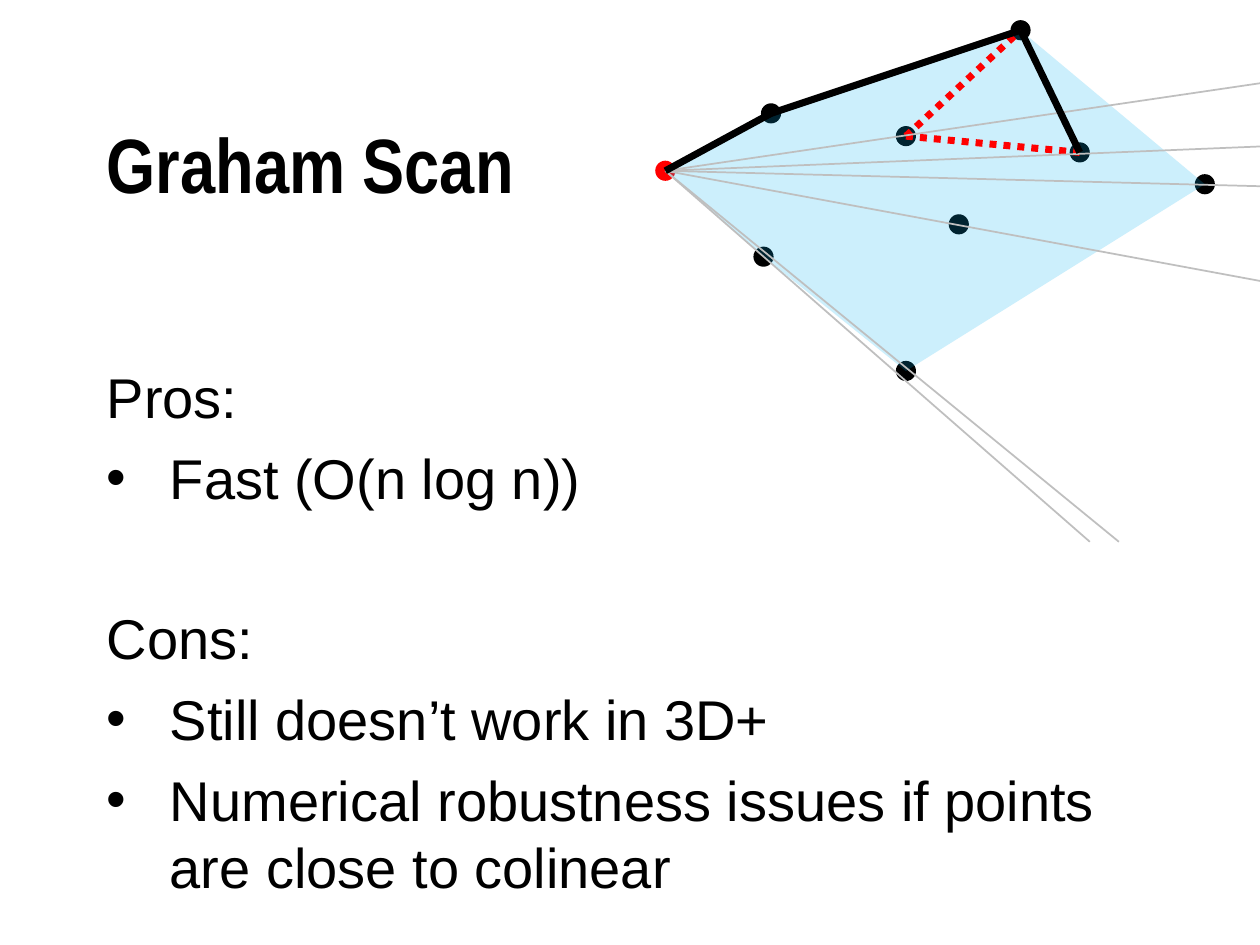
import pptx
import pptx.dml.color
import pptx.enum.dml
import pptx.enum.shapes
import pptx.enum.text
import pptx.oxml
import pptx.oxml.ns
import pptx.util
from dataclasses import dataclass
from lxml import etree

Pt = pptx.util.Pt
qn = pptx.oxml.ns.qn


@dataclass(frozen=True)
class Theme:
    ink: str = "000000"
    accent: str = "FF0000"
    hull: str = "00B0F0"
    ray: str = "BFBFBF"
    title_font: str = "Arial Narrow"
    body_font: str = "Arial"
    title_size: float = 44
    body_size: float = 32
    hull_alpha: int = 20
    ray_width: float = 1
    edge_width: float = 4
    dot: float = 11.5


THEME = Theme()

# Points of the scan, in points from the slide's top left corner
START = (380.2, 97.6)
UPPER_LEFT, TOP = (440.6, 64.8), (583.2, 17.3)
RIGHT, BOTTOM, LOWER_LEFT = (688.5, 105.3), (517.7, 212), (436.3, 146.7)
INNER_LEFT, INNER_LOW, INNER_RIGHT = (517.7, 77.8), (547.9, 128.2), (617, 87.1)
HULL = [START, LOWER_LEFT, BOTTOM, RIGHT, TOP, UPPER_LEFT]
RAY_ENDS = [(622.8, 309.6), (639.4, 309.6), (805.7, 176.4),
            (865.4, 110.2), (864.7, 77.8), (823, 32.4)]

# Text, space before, bulleted
BODY = [
    ("Pros:", 0, False),
    ("Fast (O(n log n))", 8, True),
    ("Cons:", 53, False),
    ("Still doesn’t work in 3D+", 8, True),
    ("Numerical robustness issues if points are close to colinear", 8, True),
]


def set_all(target, values):
    for name, value in values.items():
        setattr(target, name, value)


def rgb(color):
    return pptx.dml.color.RGBColor.from_string(color)


def add_text_box(slide, box, **frame_format):
    frame = slide.shapes.add_textbox(*map(Pt, box)).text_frame
    set_all(frame, {"word_wrap": True, **frame_format})
    return frame


def write(paragraph, text, **font_format):
    run = paragraph.add_run()
    run.text = text
    set_all(run.font, font_format)
    run.font.color.rgb = rgb(THEME.ink)


def add_bullet(paragraph, indent):
    properties = paragraph._p.get_or_add_pPr()
    properties.set("marL", str(Pt(indent)))
    properties.set("indent", str(-Pt(indent)))
    etree.SubElement(properties, qn("a:buFont"), typeface=THEME.body_font)
    etree.SubElement(properties, qn("a:buChar"), char="•")


def paint(shape, color):
    shape.shadow.inherit = False
    shape.fill.solid()
    shape.fill.fore_color.rgb = rgb(color)
    shape.line.fill.background()


def add_dot(slide, center, color):
    x, y = center
    radius = THEME.dot / 2
    shape = slide.shapes.add_shape(
        pptx.enum.shapes.MSO_SHAPE.OVAL, Pt(x - radius), Pt(y - radius),
        Pt(THEME.dot), Pt(THEME.dot))
    paint(shape, color)


def add_polygon(slide, points, color, alpha):
    corners = [(Pt(x), Pt(y)) for x, y in points]
    builder = slide.shapes.build_freeform(*corners[0])
    builder.add_line_segments(corners[1:], close=True)
    shape = builder.convert_to_shape()
    paint(shape, color)
    color_element = shape._element.spPr.find(qn("a:solidFill"))[0]
    etree.SubElement(color_element, qn("a:alpha"), val=str(alpha * 1000))


def add_line(slide, start, end, color, width, dash=None):
    connector = slide.shapes.add_connector(
        pptx.enum.shapes.MSO_CONNECTOR.STRAIGHT, *map(Pt, start + end))
    connector.line.color.rgb = rgb(color)
    set_all(connector.line, {"width": Pt(width), "dash_style": dash})
    etree.SubElement(connector._element.spPr, qn("a:effectLst"))


def add_title(slide):
    frame = add_text_box(slide, (54, 48, 612, 90),
                         vertical_anchor=pptx.enum.text.MSO_ANCHOR.MIDDLE)
    write(frame.paragraphs[0], "Graham Scan", name=THEME.title_font,
          size=Pt(THEME.title_size), bold=True)


def add_body(slide):
    frame = add_text_box(slide, (54, 156, 612, 324), margin_top=Pt(51))
    for index, (text, space, bulleted) in enumerate(BODY):
        paragraph = frame.add_paragraph() if index else frame.paragraphs[0]
        paragraph.space_before = Pt(space)
        if bulleted:
            add_bullet(paragraph, 36)
        write(paragraph, text, name=THEME.body_font, size=Pt(THEME.body_size))


def add_diagram(slide):
    # Points, with the hull tinting them
    for center in HULL[1:] + [INNER_LEFT, INNER_LOW, INNER_RIGHT]:
        add_dot(slide, center, THEME.ink)
    add_dot(slide, START, THEME.accent)
    add_polygon(slide, HULL, THEME.hull, THEME.hull_alpha)

    # Rejected edges
    for end in (TOP, INNER_RIGHT):
        add_line(slide, INNER_LEFT, end, THEME.accent, THEME.edge_width,
                 pptx.enum.dml.MSO_LINE.ROUND_DOT)

    # Sorting rays
    for end in RAY_ENDS:
        add_line(slide, START, end, THEME.ray, THEME.ray_width)

    # Accepted edges
    chain = [START, UPPER_LEFT, TOP, INNER_RIGHT]
    for start, end in zip(chain, chain[1:]):
        add_line(slide, start, end, THEME.ink, THEME.edge_width)


def main():
    presentation = pptx.Presentation()
    set_all(presentation, {"slide_width": Pt(720), "slide_height": Pt(540)})
    slide = presentation.slides.add_slide(presentation.slide_layouts[6])
    add_title(slide)
    add_body(slide)
    add_diagram(slide)
    presentation.save("out.pptx")


if __name__ == "__main__":
    main()
